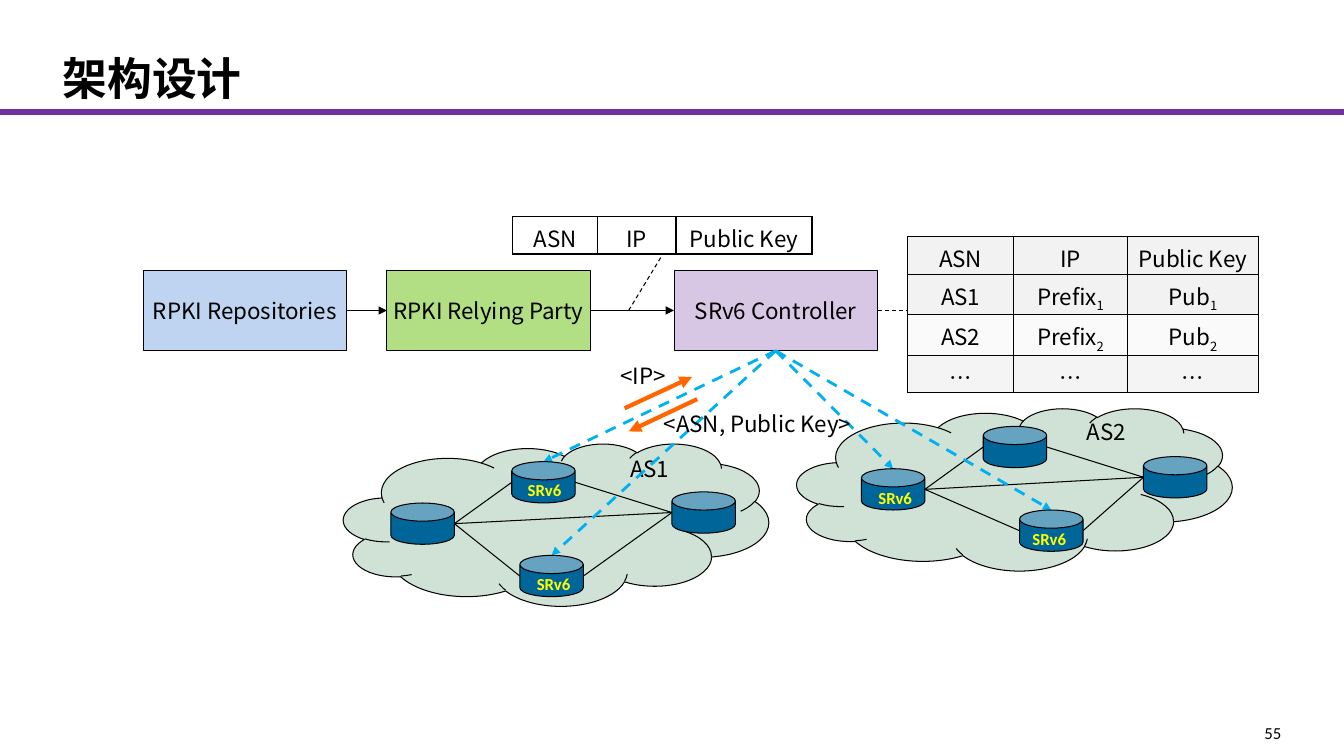
from lxml import etree
from pptx import Presentation
from pptx.dml.color import RGBColor
from pptx.enum.dml import MSO_LINE
from pptx.enum.shapes import MSO_CONNECTOR, MSO_SHAPE
from pptx.enum.text import MSO_ANCHOR, PP_ALIGN
from pptx.oxml.ns import qn
from pptx.util import Pt

PX = 9144  # 100 px to the inch
STRAIGHT = MSO_CONNECTOR.STRAIGHT
RECTANGLE, CLOUD, CAN = MSO_SHAPE.RECTANGLE, MSO_SHAPE.CLOUD, MSO_SHAPE.CAN
DASH = MSO_LINE.DASH
LEFT, CENTER, RIGHT = PP_ALIGN.LEFT, PP_ALIGN.CENTER, PP_ALIGN.RIGHT
TOP, MIDDLE, BOTTOM = MSO_ANCHOR.TOP, MSO_ANCHOR.MIDDLE, MSO_ANCHOR.BOTTOM

THEME = {
    "black": "000000", "white": "FFFFFF", "purple": "7030A0",
    "blue": "0056C9", "green": "92D050", "cloud": "D0E2D5",
    "router": "006699", "sky": "00B0F0", "orange": "FF6600",
    "grey": "F2F2F2", "pale": "FAFAFA", "light": "F4F4F4",
    # text styles: font, size, bold, colour
    "title": ("Noto Sans CJK SC", 32, True, "000000"),
    "body": ("Noto Sans CJK SC", 16, False, "000000"),
    "router tag": ("Calibri", 12, True, "FFFF00"),
    "page": ("Calibri", 12, False, "000000"),
}

presentation = Presentation()
presentation.slide_width, presentation.slide_height = 1334 * PX, 750 * PX
slide = presentation.slides.add_slide(presentation.slide_layouts[6])
shapes = slide.shapes


def write(text_frame, text, style="body", align=CENTER, anchor=MIDDLE):
    """Write one line; the part after an underscore is a subscript."""
    name, size, bold, color = THEME[style]
    text_frame.vertical_anchor = anchor
    paragraph = text_frame.paragraphs[0]
    paragraph.alignment = align
    for index, part in enumerate(text.split("_")):
        run = paragraph.add_run()
        run.text = part
        run.font.name, run.font.size, run.font.bold = name, Pt(size), bold
        run.font.color.rgb = RGBColor.from_string(color)
        properties = run._r.get_or_add_rPr()
        etree.SubElement(properties, qn("a:ea"), typeface=name)
        if index:
            properties.set("baseline", "-25000")


def add_line(start, end, color="black", width=0.75, dash=None, arrow=False):
    line = shapes.add_connector(STRAIGHT, *(int(v * PX) for v in (*start, *end)))
    line.line.color.rgb = RGBColor.from_string(THEME[color])
    line.line.width = Pt(width)
    if dash:
        line.line.dash_style = dash
    if arrow:
        etree.SubElement(line.line._get_or_add_ln(), qn("a:tailEnd"), type="triangle")
    return etree.SubElement(line._element.spPr, qn("a:effectLst"))


# Title rule with its solid shadow
effects = add_line((1334, 110), (0, 110), "purple", 2.25)
shadow = etree.SubElement(effects, qn("a:outerShdw"), dist="25400", dir="5400000", rotWithShape="0")
etree.SubElement(shadow, qn("a:srgbClr"), val=THEME["purple"])

# Clouds, boxes and routers share one form: kind, place, fill, opacity
CAN_WIDTH, CAN_HEIGHT = 63, 41
networks = [
    {"west": (388, 499), "north": (508, 458), "east": (667, 488), "south": (516, 551)},
    {"west": (855, 465), "north": (976, 423), "east": (1135, 453), "south": (1012, 506)},
]
clouds_and_boxes = [
    (CLOUD, (791, 405, 432, 161), "cloud", 100, ""),
    (CLOUD, (341, 440, 422, 161), "cloud", 100, ""),
    (RECTANGLE, (142, 268, 202, 80), "blue", 25, "RPKI Repositories"),
    (RECTANGLE, (384, 268, 202, 80), "green", 70, "RPKI Relying Party"),
    (RECTANGLE, (669, 268, 202, 80), "purple", 27, "SRv6 Controller"),
]
routers = [(CAN, (*place, CAN_WIDTH, CAN_HEIGHT), "router", 100, "")
           for network in networks for place in network.values()]

# Labels: text, place, style, alignment, anchor
area_labels = [
    ("AS1", (615, 446, 60, 37), "body", CENTER, MIDDLE),
    ("AS2", (1068, 410, 60, 37), "body", CENTER, MIDDLE),
]
front_labels = [
    ("架构设计", (62, 18, 1211, 91), "title", LEFT, BOTTOM),
    ("55", (1246, 717, 26, 15), "page", RIGHT, TOP),
    ("<IP>", (606, 354, 74, 37), "body", LEFT, TOP),
    ("<ASN, Public Key>", (649, 402, 223, 37), "body", LEFT, TOP),
]
for left, top in [(523, 564), (514, 471), (1015, 520), (862, 479)]:
    front_labels.append(("SRv6", (left, top, 54, 30), "router tag", LEFT, TOP))

for layer, labels in [(clouds_and_boxes, area_labels), (routers, front_labels)]:
    for kind, place, fill, opacity, text in layer:
        shape = shapes.add_shape(kind, *(v * PX for v in place))
        shape.shadow.inherit = False
        shape.fill.solid()
        shape.fill.fore_color.rgb = RGBColor.from_string(THEME[fill])
        if opacity < 100:
            color = shape._element.spPr.find(".//" + qn("a:srgbClr"))
            etree.SubElement(color, qn("a:alpha"), val=str(opacity * 1000))
        shape.line.color.rgb = RGBColor.from_string(THEME["black"])
        shape.line.width = Pt(0.75)
        if kind == CAN:
            shape.adjustments[0] = 0.44
        if text:
            shape.text_frame.word_wrap = False
            write(shape.text_frame, text)
    for text, place, style, align, anchor in labels:
        box = shapes.add_textbox(*(v * PX for v in place))
        box.text_frame.word_wrap = style == "title"
        if style in ("title", "page"):
            box.text_frame.margin_left = box.text_frame.margin_right = 0
        if style == "page":
            box.text_frame.margin_top = box.text_frame.margin_bottom = 0
        write(box.text_frame, text, style, align, anchor)
    if layer is routers:
        break

    # Links run from the right side of one router to the left side of another
    for network in networks:
        for source, target in [("west", "south"), ("west", "north"), ("south", "east"),
                               ("west", "east"), ("north", "east")]:
            (x1, y1), (x2, y2) = network[source], network[target]
            add_line((x1 + CAN_WIDTH, y1 + CAN_HEIGHT / 2), (x2, y2 + CAN_HEIGHT / 2))

    # Controller to SRv6 routers
    for index, name in [(0, "north"), (0, "south"), (1, "west"), (1, "south")]:
        x, y = networks[index][name]
        add_line((770, 348), (x + CAN_WIDTH / 2, y), "sky", 2, DASH, True)

    # Data flow, query and reply arrows
    add_line((344, 308), (384, 308), arrow=True)
    add_line((586, 308), (669, 308), arrow=True)
    add_line((620, 405), (687, 374), "orange", 3, arrow=True)
    add_line((692, 396), (624, 428), "orange", 3, arrow=True)

    # Tables: place, column widths, row fills, rows
    header = ["ASN", "IP", "Public Key"]
    tables = [
        ((509, 215), [84, 78, 135], ["white"], [header]),
        ((901, 235), [105, 113, 130], ["grey", "grey", "pale", "light"],
         [header, ["AS1", "Prefix_1", "Pub_1"], ["AS2", "Prefix_2", "Pub_2"], ["…"] * 3]),
    ]
    for (left, top), widths, fills, rows in tables:
        frame = shapes.add_table(len(rows), len(widths), left * PX, top * PX,
                                 sum(widths) * PX, 37 * len(rows) * PX)
        table = frame.table
        table.first_row = table.horz_banding = False
        for column, width in zip(table.columns, widths):
            column.width = width * PX
        for row_index, row in enumerate(rows):
            for column_index, text in enumerate(row):
                cell = table.cell(row_index, column_index)
                cell.margin_left = cell.margin_right = 5 * PX
                write(cell.text_frame, text)
                properties = cell._tc.get_or_add_tcPr()
                for side in ("a:lnL", "a:lnR", "a:lnT", "a:lnB"):
                    border = etree.SubElement(properties, qn(side), w="12700")
                    solid = etree.SubElement(border, qn("a:solidFill"))
                    etree.SubElement(solid, qn("a:srgbClr"), val=THEME["black"])
                cell.fill.solid()
                cell.fill.fore_color.rgb = RGBColor.from_string(THEME[fills[row_index]])

    # Dashed callouts to the tables
    add_line((871, 308), (901, 308), dash=DASH)
    add_line((624, 308), (658, 252), dash=DASH)

presentation.save("out.pptx")
